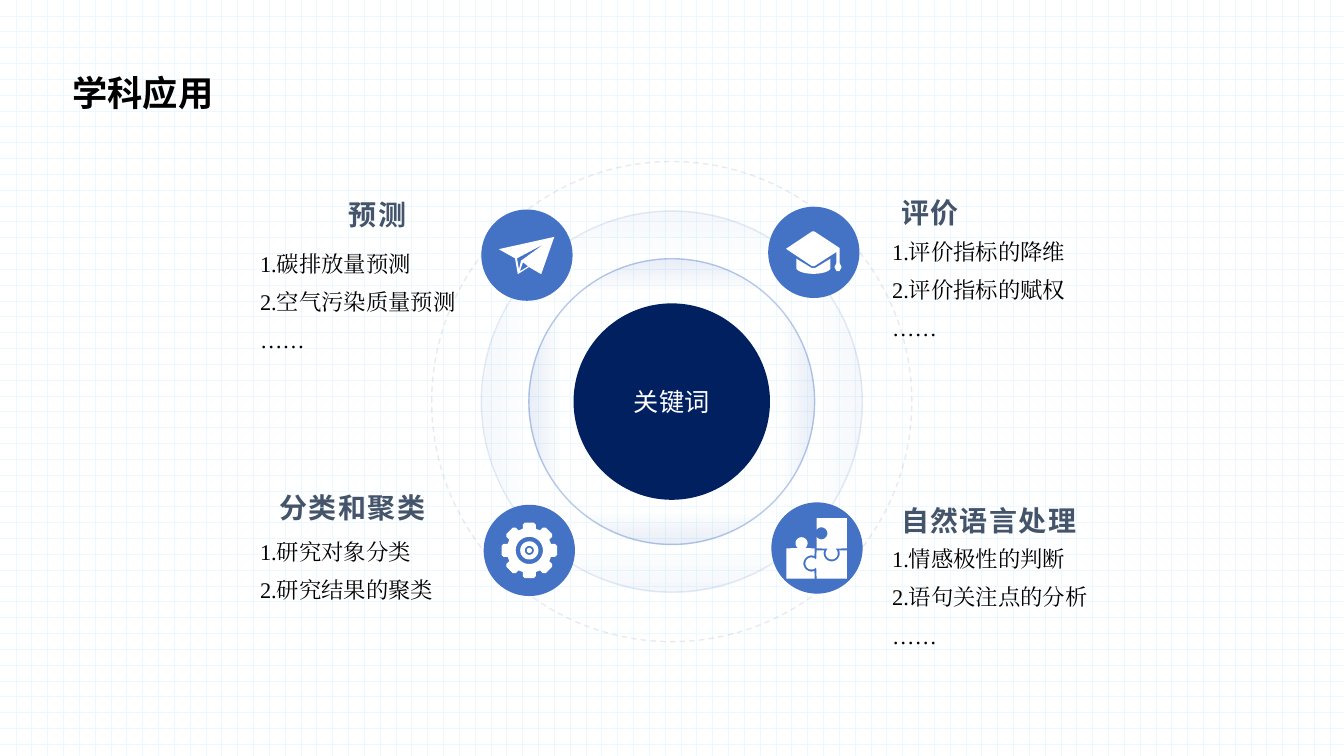
from math import cos, radians, sin

from lxml.etree import SubElement
from pptx import Presentation
from pptx.dml.color import RGBColor
from pptx.enum.dml import MSO_LINE, MSO_PATTERN
from pptx.enum.shapes import MSO_SHAPE
from pptx.enum.text import MSO_ANCHOR, MSO_AUTO_SIZE, PP_ALIGN
from pptx.oxml import parse_xml
from pptx.oxml.ns import nsdecls, qn
from pptx.util import Cm, Pt

SANS, SERIF = "Noto Sans CJK SC", "Times New Roman"
THEME = {
    "blue": RGBColor(0x44, 0x72, 0xC4),
    "deep": RGBColor(0x2F, 0x55, 0x97),
    "navy": RGBColor(0x00, 0x20, 0x60),
    "dash": RGBColor(0x20, 0x38, 0x64),
    "slate": RGBColor(0x44, 0x54, 0x6A),
    "grid": RGBColor(0xEB, 0xF8, 0xFF),
    "white": RGBColor(0xFF, 0xFF, 0xFF),
    "black": RGBColor(0, 0, 0),
    "title": {"size": Pt(25.2), "bold": True, "name": SANS},
    "heading": {"size": Pt(20), "bold": True, "name": SANS},
    "list": {"size": Pt(16), "bold": False, "name": SERIF},
    "hub": {"size": Pt(18), "bold": False, "name": SANS},
}


def write(tf, lines, style, color, align=PP_ALIGN.LEFT, before=10, spacing=0.9):
    """Fill a text frame, one paragraph per line, in a theme style."""
    for i, line in enumerate(lines):
        p = tf.paragraphs[0] if i == 0 else tf.add_paragraph()
        layout = {"alignment": align, "line_spacing": spacing, "space_before": Pt(before)}
        for name, value in layout.items():
            setattr(p, name, value)
        pPr = p._p.get_or_add_pPr()
        pPr.set("marL", "0")
        pPr.set("indent", "0")
        SubElement(pPr, qn("a:buNone"))
        r = p.add_run()
        r.text = line
        r.font.color.rgb = THEME[color]
        for name, value in THEME[style].items():
            setattr(r.font, name, value)
        rPr = r._r.get_or_add_rPr()
        SubElement(rPr, qn("a:ea")).set("typeface", THEME[style]["name"])
        if style == "heading":
            rPr.set("spc", "100")


def arc(cx, cy, rx, ry, start, end, steps=24):
    """Points along an elliptical arc; angles in degrees, clockwise from the right."""
    angles = [radians(start + (end - start) * i / steps) for i in range(steps + 1)]
    return [(cx + rx * cos(a), cy + ry * sin(a)) for a in angles]


prs = Presentation()
prs.slide_width, prs.slide_height = Cm(33.87), Cm(19.05)
s = prs.slides.add_slide(prs.slide_layouts.get_by_name("Comparison"))

# Grid background
bg = s.background.fill
bg.patterned()
bg.pattern = MSO_PATTERN.DOTTED_GRID
bg.fore_color.rgb, bg.back_color.rgb = THEME["grid"], THEME["white"]

# Title
title = s.shapes.title
title.left, title.top, title.width, title.height = Cm(1.57), Cm(1.78), Cm(14.25), Cm(1.22)
title.text_frame.vertical_anchor = MSO_ANCHOR.MIDDLE
title.text_frame.auto_size = MSO_AUTO_SIZE.NONE
write(title.text_frame, ["学科应用"], "title", "black", before=0)

# Rings around the hub: diameter, line colour, line opacity, edge opacity
HUB_X, HUB_Y = 16.93, 10.12
RINGS = [(9.6, "blue", 13, 5), (7.2, "blue", 36, 12), (4.95, "navy", None, None), (12.1, "dash", 10, None)]
for size, color, line_alpha, edge_alpha in RINGS:
    sp = s.shapes.add_shape(MSO_SHAPE.OVAL, Cm(HUB_X - size / 2), Cm(HUB_Y - size / 2), Cm(size), Cm(size))
    sp.shadow.inherit = False
    spPr = sp._element.spPr
    if line_alpha is None:
        sp.fill.solid()
        sp.fill.fore_color.rgb = THEME[color]
        sp.line.fill.background()
        sp.text_frame.vertical_anchor = MSO_ANCHOR.MIDDLE
        write(sp.text_frame, ["关键词"], "hub", "white", PP_ALIGN.CENTER, 0, 1)
        continue
    sp.line.color.rgb = THEME[color]
    sp.line.width = Pt(1)
    line_color = spPr.find(qn("a:ln")).find(".//" + qn("a:srgbClr"))
    SubElement(line_color, qn("a:alpha")).set("val", str(line_alpha * 1000))
    if edge_alpha is None:
        sp.fill.background()
        sp.line.dash_style = MSO_LINE.DASH
    else:
        spPr.insert(2, parse_xml(
            f'<a:gradFill {nsdecls("a")} rotWithShape="1"><a:gsLst>'
            f'<a:gs pos="78000"><a:srgbClr val="{THEME["deep"]}"><a:alpha val="0"/></a:srgbClr></a:gs>'
            f'<a:gs pos="100000"><a:srgbClr val="{THEME["blue"]}"><a:alpha val="{edge_alpha * 1000}"/>'
            '</a:srgbClr></a:gs></a:gsLst><a:path path="shape">'
            '<a:fillToRect l="50000" t="50000" r="50000" b="50000"/></a:path></a:gradFill>'))

# Icon outlines, in millimetres from the centre of their badge
plane = [
    [(6.9, -4.6), (-7.1, -1.5), (-3, 0.8), (-2.3, 4.8), (0.5, 3), (3.6, 4.8)],
    [(4.3, -2.8), (-1.5, 1.4), (-2, 3.6), (-2.5, 0.8)],
    [(-1.8, 4.1), (-1, 1.8), (0.3, 2.8)],
]
cap = [
    [(-4.4, 1.6), (-0.6, 3.9), (0.4, 3.9), (4.2, 1.6)] + arc(-0.1, 3.9, 4.3, 1.5, 0, 180),
    [(-0.4, -5.3), (0.1, -5.3), (6.5, -1.1), (6.5, 2.7), (7, 3.7), (6.5, 4.7), (5.7, 4.7),
     (5.2, 3.7), (5.7, 2.7), (5.7, -0.1), (0.1, 3.5), (-0.4, 3.5), (-7, -0.9)],
]
tooth = [(-1.65, -5.46), (-1.65, -6.48), (-1.14, -7), (1.14, -7), (1.65, -6.48), (1.65, -5.46)]
turns = [radians(45 * i) for i in range(8)]
gear = [[(x * cos(a) - y * sin(a), x * sin(a) + y * cos(a)) for a in turns for x, y in tooth]]
gear += [arc(0, 0, radius, radius, 0, 360, 48) for radius in (3.43, 2.29, 1.14, 0.64)]
KNOB, SOCKET = 1.52, 2.03
puzzle = [
    [(-0.1, 0.6), *arc(3.7, 1.35, SOCKET, SOCKET, 202, -22), (7.5, 0.6), (7.5, 7.7), (-0.1, 7.7),
     *arc(-1.4, 3.9, KNOB, KNOB, 38, 322)],
    [(-7.7, 0.1), *arc(-3.9, -1.2, KNOB, KNOB, 128, 412), (-0.6, 0.1),
     *arc(-1.4, 3.9, SOCKET, SOCKET, 292, 68), (-0.6, 7.7), (-7.7, 7.7)],
    [(-0.1, -7.5), (7.5, -7.5), (7.5, 0.1), *arc(3.7, 1.35, KNOB, KNOB, -52, 232), (-0.1, 0.1),
     *arc(1.1, -3.7, KNOB, KNOB, 142, -142)],
]

# Topics: heading, its box, list, its box, badge centre, icon
TOPICS = [
    ("预测", (8.79, 4.95, 1.75), ["1.碳排放量预测", "2.空气污染质量预测", "……"],
     (6.3, 6.25, 5.46, 2.82), (13.28, 6.43), plane),
    ("评价", (22.71, 4.9, 1.75), ["1.评价指标的降维", "2.评价指标的赋权", "……"],
     (22.23, 5.94, 9.78, 2.82), (20.51, 6.36), cap),
    ("分类和聚类", (7.04, 12.32, 3.99), ["1.研究对象分类", "2.研究结果的聚类"],
     (6.3, 13.51, 9.78, 1.85), (13.34, 13.87), gear),
    ("自然语言处理", (22.71, 12.65, 4.75), ["1.情感极性的判断", "2.语句关注点的分析", "……"],
     (22.23, 13.69, 9.78, 2.82), (20.59, 13.81), puzzle),
]
BADGE = 2.3
bodies = [ph for ph in s.placeholders if ph.placeholder_format.idx > 0]
for body, (heading, (hx, hy, hw), lines, box, (cx, cy), icon) in zip(bodies, TOPICS):
    # List
    body.left, body.top, body.width, body.height = [Cm(v) for v in box]
    tf = body.text_frame
    tf.vertical_anchor = MSO_ANCHOR.TOP
    tf.auto_size = MSO_AUTO_SIZE.SHAPE_TO_FIT_TEXT
    write(tf, lines, "list", "black")

    # Heading
    tf = s.shapes.add_textbox(Cm(hx), Cm(hy), Cm(hw), Cm(1.02)).text_frame
    tf.margin_left = 0
    tf.word_wrap = False
    tf.auto_size = MSO_AUTO_SIZE.SHAPE_TO_FIT_TEXT
    write(tf, [heading], "heading", "slate")

    # Badge and icon
    badge = s.shapes.add_shape(MSO_SHAPE.OVAL, Cm(cx - BADGE / 2), Cm(cy - BADGE / 2), Cm(BADGE), Cm(BADGE))
    contours = [[(x * 100, y * 100) for x, y in contour] for contour in icon]
    fb = s.shapes.build_freeform(*contours[0][0], scale=Cm(0.001))
    fb.add_line_segments(contours[0][1:])
    for contour in contours[1:]:
        fb.move_to(*contour[0])
        fb.add_line_segments(contour[1:])
    symbol = fb.convert_to_shape(Cm(cx), Cm(cy))
    for sp, color in ((badge, "blue"), (symbol, "white")):
        sp.shadow.inherit = False
        sp.fill.solid()
        sp.fill.fore_color.rgb = THEME[color]
        sp.line.fill.background()

prs.save("out.pptx")
